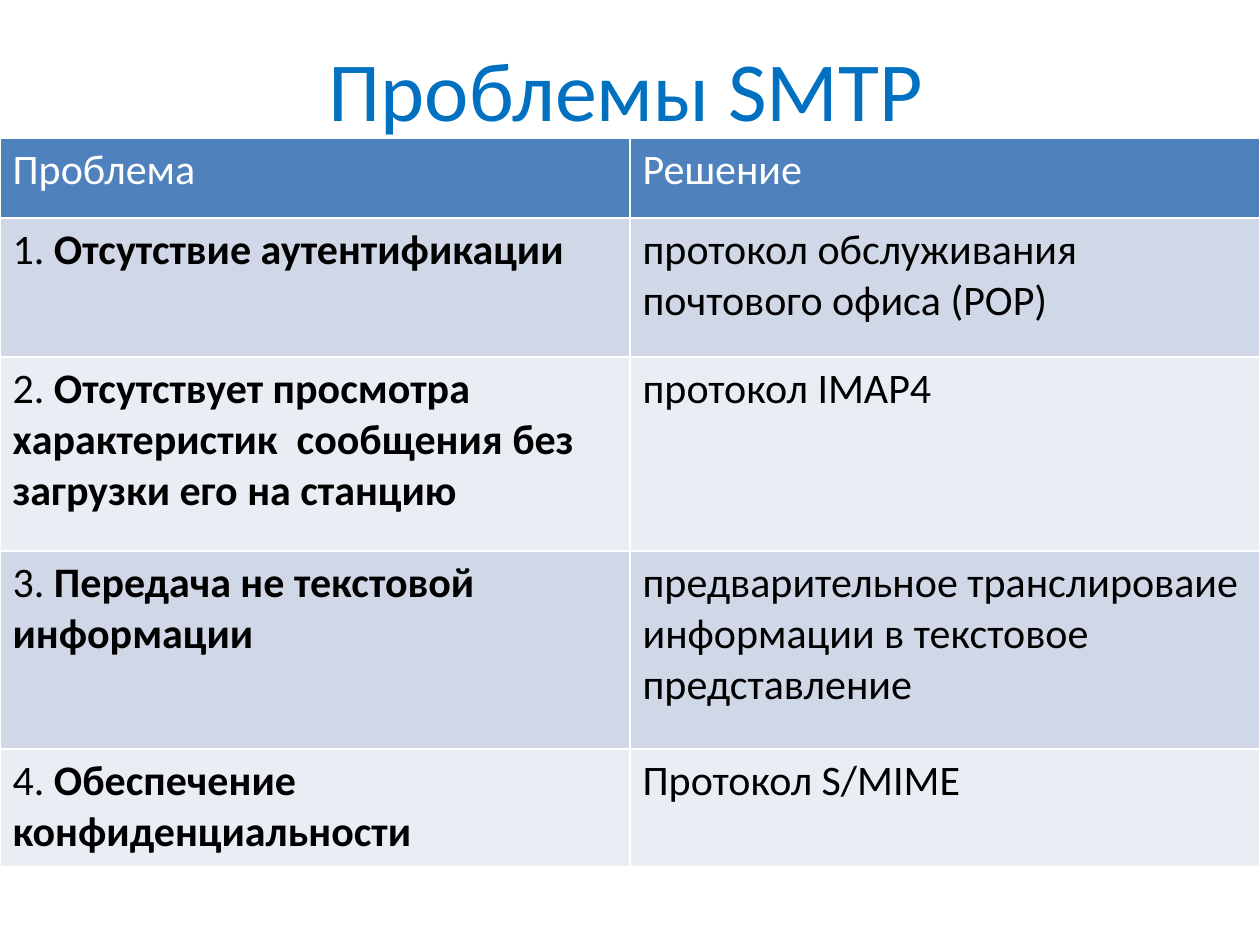
"""Build a slide with a table of SMTP problems and their solutions."""
from pptx import Presentation
from pptx import util as u
from pptx.dml.color import RGBColor
from pptx.enum import text

TITLE = "Проблемы SMTP"
HEADERS = ("Проблема", "Решение")
PROBLEMS = [
    ("Отсутствие аутентификации", "протокол обслуживания почтового офиса (POP)"),
    ("Отсутствует просмотра характеристик  сообщения без загрузки его на станцию",
     "протокол IMAP4"),
    ("Передача не текстовой информации",
     "предварительное транслироваие информации в текстовое представление"),
    ("Обеспечение конфиденциальности", "Протокол S/MIME"),
]
COLORS = {"title": "0070C0", "header": "4F81BD", "odd": "D0D8E8",
          "even": "E9EDF4", "light": "FFFFFF", "dark": "000000"}
FONT = "Calibri"
SLIDE_WIDTH, SLIDE_HEIGHT = 1260, 945
TITLE_BOX = (59, 29, 1134, 117)
TABLE_TOP = 138
ROW_HEIGHTS = (80, 139, 194, 198, 118)


def px(value):
    """Turn pixels into EMU."""
    return u.Emu(round(value * 914400 / 126))


def style(paragraph, size, color):
    """Set the font of a whole paragraph."""
    font = paragraph.font
    font.name, font.size = FONT, u.Pt(size)
    font.color.rgb = RGBColor.from_string(COLORS[color])


def fill_cell(cell, runs, fill, color):
    """Write (text, bold) runs into a filled cell."""
    cell.fill.solid()
    cell.fill.fore_color.rgb = RGBColor.from_string(COLORS[fill])
    paragraph = cell.text_frame.paragraphs[0]
    style(paragraph, 24, color)
    for words, bold in runs:
        run = paragraph.add_run()
        run.text, run.font.bold = words, bold


def add_title(slide):
    """Add the centred title."""
    frame = slide.shapes.add_textbox(*map(px, TITLE_BOX)).text_frame
    frame.word_wrap = True
    frame.vertical_anchor = text.MSO_ANCHOR.MIDDLE
    paragraph = frame.paragraphs[0]
    paragraph.text = TITLE
    paragraph.alignment = text.PP_ALIGN.CENTER
    style(paragraph, 48, "title")


def add_problem_table(slide):
    """Add the table of problems and solutions."""
    table = slide.shapes.add_table(
        len(ROW_HEIGHTS), len(HEADERS), 0, px(TABLE_TOP),
        px(SLIDE_WIDTH), px(sum(ROW_HEIGHTS))).table
    for row, height in zip(table.rows, ROW_HEIGHTS):
        row.height = px(height)
    for column, header in enumerate(HEADERS):
        fill_cell(table.cell(0, column), [(header, False)], "header", "light")
    for number, (problem, solution) in enumerate(PROBLEMS, 1):
        fill = "odd" if number % 2 else "even"
        fill_cell(table.cell(number, 0),
                  [(f"{number}. ", False), (problem, True)], fill, "dark")
        fill_cell(table.cell(number, 1), [(solution, False)], fill, "dark")


def main():
    presentation = Presentation()
    presentation.slide_width = px(SLIDE_WIDTH)
    presentation.slide_height = px(SLIDE_HEIGHT)
    slide = presentation.slides.add_slide(presentation.slide_layouts[6])
    add_title(slide)
    add_problem_table(slide)
    presentation.save("out.pptx")


if __name__ == "__main__":
    main()
